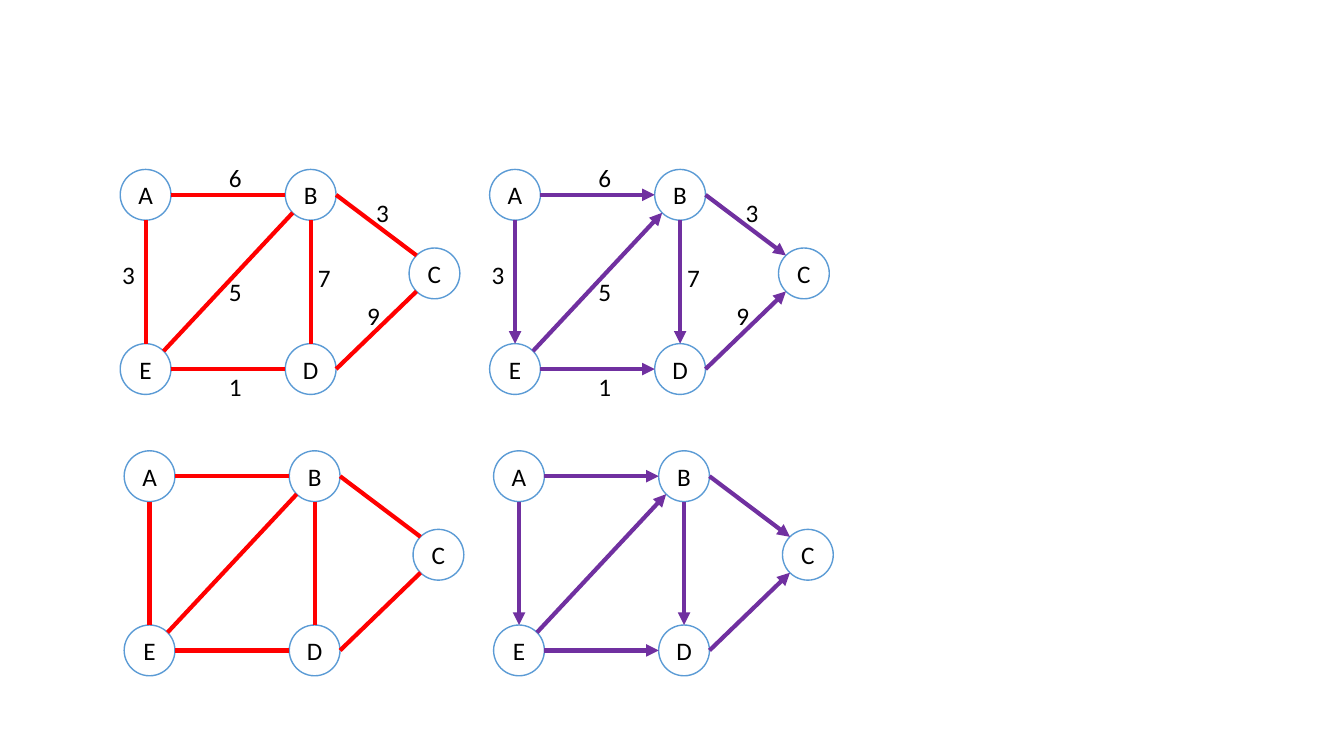
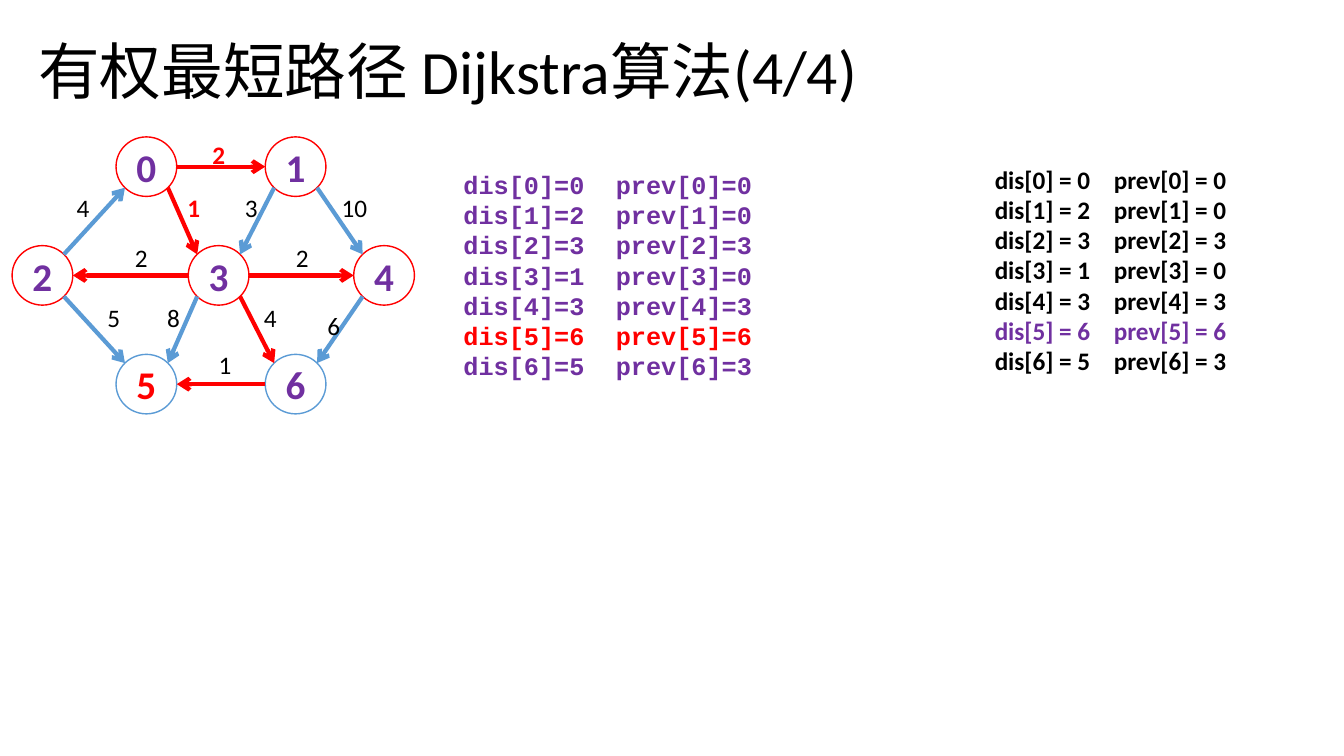
from math import cos, pi, sin

from lxml.etree import SubElement
from pptx import Presentation
from pptx.dml.color import RGBColor
from pptx.enum.shapes import MSO_CONNECTOR, MSO_SHAPE
from pptx.enum.text import MSO_ANCHOR as ANCHOR, MSO_AUTO_SIZE as AUTO, PP_ALIGN as ALIGN
from pptx.oxml.ns import qn
from pptx.util import Cm, Pt

TITLE_ONLY, BLANK = 5, 6
COMPASS = ("n", "ne", "e", "se", "s", "sw", "w", "nw")


def rgb(hex_color):
    return RGBColor.from_string(hex_color)


def write(p, text, size=18, color="000000", bold=False, font="Calibri", align=ALIGN.LEFT):
    p.alignment = align
    r = p.add_run()
    r.text = text
    r.font.size, r.font.bold, r.font.name = Pt(size), bold, font
    r.font.color.rgb = rgb(color)


class Deck:
    RED, PURPLE, BLUE, BLACK, WHITE = "FF0000", "7030A0", "5B9BD5", "000000", "FFFFFF"

    def __init__(self):
        self.prs = Presentation()
        self.prs.slide_width, self.prs.slide_height = Cm(33.87), Cm(19.05)
        self.slide = self.shapes = None

    def add_slide(self, layout):
        self.slide = self.prs.slides.add_slide(self.prs.slide_layouts[layout])
        self.shapes = self.slide.shapes

    def start_group(self):
        """Collect the following elements in one group."""
        self.shapes = self.slide.shapes.add_group_shape().shapes

    def end_group(self):
        self.shapes = self.slide.shapes

    def title(self, text):
        sp = self.slide.shapes.title
        sp.left, sp.top, sp.width, sp.height = Cm(0.71), Cm(0.03), Cm(29.21), Cm(3.68)
        tf = sp.text_frame
        tf.word_wrap, tf.auto_size = True, AUTO.NONE
        tf.vertical_anchor = ANCHOR.MIDDLE
        tf.paragraphs[0].line_spacing = 0.9
        write(tf.paragraphs[0], text, size=44)

    def node(self, center, extent, text, line, **style):
        (x, y), (w, h) = center, extent
        sp = self.shapes.add_shape(MSO_SHAPE.OVAL, Cm(x - w / 2), Cm(y - h / 2), Cm(w), Cm(h))
        sp.shadow.inherit = False
        sp.fill.solid()
        sp.fill.fore_color.rgb = rgb(self.WHITE)
        sp.line.color.rgb = rgb(line)
        sp.line.width = Pt(1)
        tf = sp.text_frame
        tf.word_wrap, tf.vertical_anchor = False, ANCHOR.MIDDLE
        write(tf.paragraphs[0], text, align=ALIGN.CENTER, **style)

    def edge(self, start, end, color, head=None):
        points = [Cm(v) for v in (*start, *end)]
        line = self.shapes.add_connector(MSO_CONNECTOR.STRAIGHT, *points)
        line.line.color.rgb = rgb(color)
        line.line.width = Pt(3)
        sp_pr = line.element.spPr
        if head:
            SubElement(sp_pr.find(qn("a:ln")), qn("a:tailEnd"), type=head)
        SubElement(sp_pr, qn("a:effectLst"))

    def text_frame(self, x, y, w, h):
        tf = self.shapes.add_textbox(Cm(x), Cm(y), Cm(w), Cm(h)).text_frame
        tf.word_wrap = True
        return tf

    def weight(self, x, y, text, **style):
        tf = self.text_frame(x, y, 0.84 * len(text), 1.02)
        write(tf.paragraphs[0], text, **style)

    def table_of_paths(self, box, lines, colors, tab, **style):
        """Write one line per node, its second column at the tab stop."""
        tf = self.text_frame(*box)
        for i, (text, color) in enumerate(zip(lines, colors)):
            p = tf.add_paragraph() if i else tf.paragraphs[0]
            tabs = SubElement(p._p.get_or_add_pPr(), qn("a:tabLst"))
            SubElement(tabs, qn("a:tab"), pos=str(int(Cm(tab))), algn="l")
            write(p, text, color=color, bold=True, **style)


def rim(center, extent, side):
    """Point on the rim of an ellipse in a compass direction."""
    angle = COMPASS.index(side) * pi / 4
    return center[0] + extent[0] / 2 * sin(angle), center[1] - extent[1] / 2 * cos(angle)


# Positions relative to the centre of node A
LETTERS = {"A": (0, 0), "B": (4.16, 0), "C": (7.28, 1.98), "D": (4.16, 4.39), "E": (0, 4.39)}
LETTER_EXTENT = (1.28, 1.28)
LETTER_EDGES = ["A e B w", "E ne B sw", "A s E n", "E e D w", "B e C nw", "D e C sw", "B s D n"]
LETTER_WEIGHTS = [(1.85, -0.95, "6"), (4.09, 1.57, "7"), (1.85, 1.92, "5"), (1.85, 4.31, "1"),
                  (-0.84, 1.51, "3"), (5.56, -0.06, "3"), (5.33, 2.53, "9")]

ROWS = [4.2 + 2.74 * i for i in range(3)]
NUMBERS = {"0": (3.69, ROWS[0]), "1": (7.45, ROWS[0]),
           "2": (1.07, ROWS[1]), "3": (5.51, ROWS[1]), "4": (9.68, ROWS[1]),
           "5": (3.69, ROWS[2]), "6": (7.45, ROWS[2])}
NUMBER_EXTENT = (1.53, 1.5)
SHORTEST_EDGES = ["0 e 1 w", "0 se 3 nw", "3 w 2 e", "3 e 4 w", "3 se 6 nw", "6 w 5 e"]
OTHER_EDGES = ["1 se 4 nw", "1 sw 3 ne", "2 ne 0 sw", "3 sw 5 ne", "4 sw 6 ne", "2 se 5 nw"]
SHORTEST_WEIGHTS = [(5.1, 3.38, "2"), (4.47, 4.72, "1")]
OTHER_WEIGHTS = [(8.36, 4.72, "10"), (5.92, 4.72, "3"), (1.68, 4.72, "4"), (3.15, 5.97, "2"),
                 (7.21, 5.97, "2"), (8, 7.7, "6"), (5.26, 8.69, "1"), (2.46, 7.49, "5"),
                 (3.96, 7.49, "8"), (6.4, 7.49, "4")]
DISTANCES = [0, 2, 3, 1, 3, 6, 5]
PREVIOUS = [0, 0, 3, 0, 3, 6, 3]
CURRENT = 5


def draw_edges(deck, centers, extent, edges, color, head=None):
    for edge in edges:
        a, side_a, b, side_b = edge.split()
        deck.edge(rim(centers[a], extent, side_a), rim(centers[b], extent, side_b), color, head)


def letter_graph(deck, x, y, color, head, weighted):
    centers = {name: (x + dx, y + dy) for name, (dx, dy) in LETTERS.items()}
    for name, center in centers.items():
        deck.node(center, LETTER_EXTENT, name, deck.BLUE)
    draw_edges(deck, centers, LETTER_EXTENT, LETTER_EDGES, color, head)
    if weighted:
        for dx, dy, text in LETTER_WEIGHTS:
            deck.weight(x + dx, y + dy, text)


def graph_kinds_slide(deck):
    deck.add_slide(BLANK)
    for x, y, weighted in ((3.67, 4.91, True), (3.77, 12, False)):
        letter_graph(deck, x, y, deck.RED, None, weighted)
        letter_graph(deck, x + 9.31, y, deck.PURPLE, "triangle", weighted)


def dijkstra_slide(deck):
    deck.add_slide(TITLE_ONLY)
    deck.title("有权最短路径 Dijkstra算法(4/4)")

    deck.start_group()
    for name, center in NUMBERS.items():
        deck.node(center, NUMBER_EXTENT, name, deck.BLUE if name in "56" else deck.RED,
                  size=28, bold=True, color=deck.RED if name == str(CURRENT) else deck.PURPLE)
    draw_edges(deck, NUMBERS, NUMBER_EXTENT, SHORTEST_EDGES, deck.RED, "arrow")
    draw_edges(deck, NUMBERS, NUMBER_EXTENT, OTHER_EDGES, deck.BLUE, "arrow")
    for x, y, text in SHORTEST_WEIGHTS:
        deck.weight(x, y, text, color=deck.RED, bold=True)
    for x, y, text in OTHER_WEIGHTS:
        deck.weight(x, y, text)
    deck.end_group()

    for box, equals, font, base, accent, tab in (
            ((24.82, 4.01, 6.68, 5.64), " = ", "Calibri", deck.BLACK, deck.PURPLE, 3),
            ((11.43, 4.14, 8.97, 5.74), "=", "Courier New", deck.PURPLE, deck.RED, 3.84)):
        lines = [f"dis[{i}]{equals}{d}\tprev[{i}]{equals}{prev}"
                 for i, (d, prev) in enumerate(zip(DISTANCES, PREVIOUS))]
        colors = [accent if i == CURRENT else base for i in range(len(lines))]
        deck.table_of_paths(box, lines, colors, tab, font=font)


def main():
    deck = Deck()
    graph_kinds_slide(deck)
    dijkstra_slide(deck)
    deck.prs.save("out.pptx")


if __name__ == "__main__":
    main()
